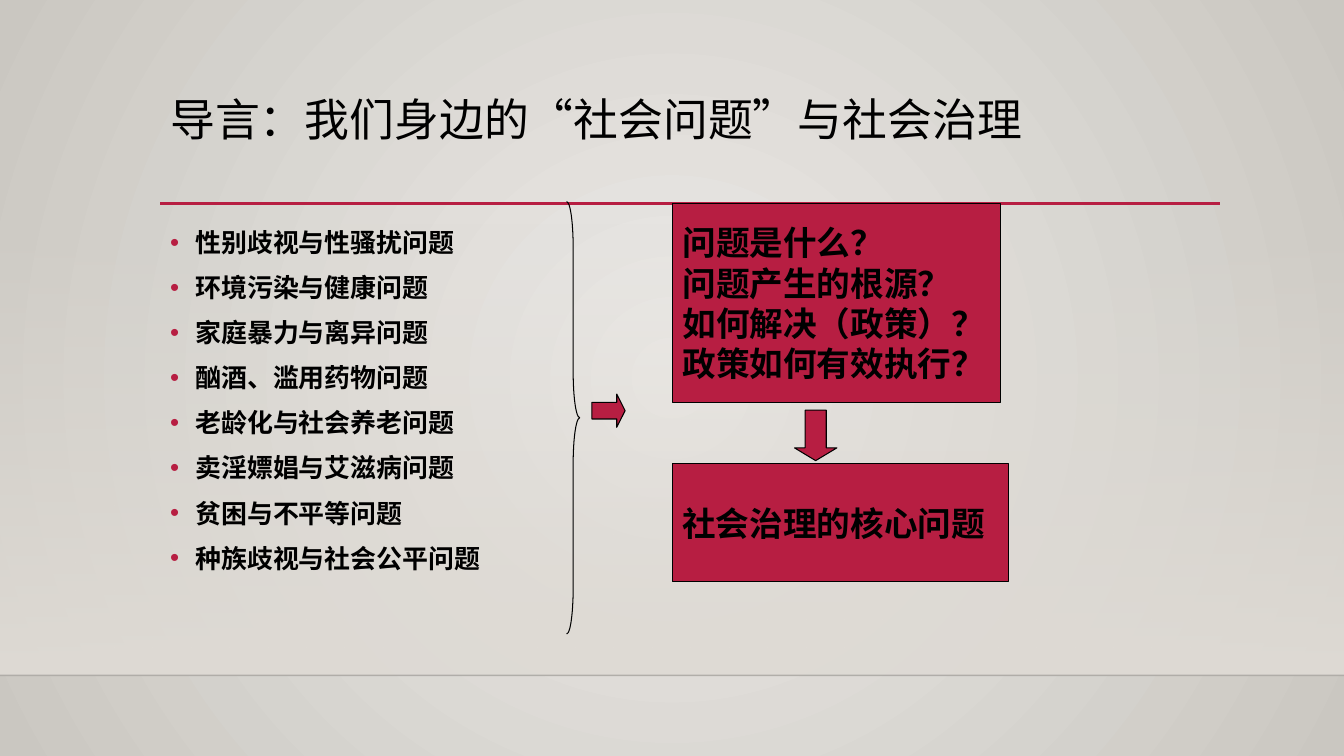
from dataclasses import dataclass

from lxml.etree import SubElement
from pptx import Presentation
from pptx.dml.color import RGBColor
from pptx.enum.lang import MSO_LANGUAGE_ID
from pptx.enum.shapes import MSO_CONNECTOR, MSO_SHAPE
from pptx.enum.text import MSO_ANCHOR, PP_ALIGN
from pptx.oxml import parse_xml
from pptx.oxml.ns import nsdecls, qn
from pptx.util import Inches, Pt


@dataclass(frozen=True)
class Theme:
    accent: str = "B71E42"
    ink: str = "000000"
    glow: str = "ECEAE7"
    edge: str = "CAC7C1"
    wall: str = "DFDBD5"
    heading_font: str = "Cabin"
    box_font: str = "Times New Roman"
    title_size: float = 32
    topic_size: float = 18.5
    box_size: float = 24
    outline: float = 0.75


RADIAL = ('<a:path path="circle"><a:fillToRect l="50000" t="50000" '
          'r="50000" b="50000"/></a:path>')
DOWNWARD = '<a:lin ang="5400000" scaled="0"/>'


class SlideBuilder:
    def __init__(self, slide, theme):
        self.slide = slide
        self.theme = theme

    def gradient(self, fill, owner, stops, direction):
        """Fill with (position, colour, opacity) stops, all in percent."""
        fill.gradient()
        marks = "".join(
            f'<a:gs pos="{pos * 1000}"><a:srgbClr val="{color}">'
            f'<a:alpha val="{opacity * 1000}"/></a:srgbClr></a:gs>'
            for pos, color, opacity in stops)
        old = owner.find(".//" + qn("a:gradFill"))
        old.getparent().replace(old, parse_xml(
            f'<a:gradFill {nsdecls("a")} rotWithShape="1">'
            f'<a:gsLst>{marks}</a:gsLst>{direction}</a:gradFill>'))

    def background(self):
        self.gradient(self.slide.background.fill, self.slide._element,
                      [(0, self.theme.glow, 100), (100, self.theme.edge, 100)], RADIAL)

    def wall(self, *place):
        panel = self.slide.shapes.add_shape(MSO_SHAPE.RECTANGLE, *map(Inches, place))
        panel.shadow.inherit = False
        panel.line.fill.background()
        self.gradient(panel.fill, panel._element,
                      [(0, self.theme.wall, 0), (100, self.theme.wall, 100)], DOWNWARD)

    def rule(self, left, right, y, color, width, opacity=100):
        rule = self.slide.shapes.add_connector(
            MSO_CONNECTOR.STRAIGHT, Inches(left), Inches(y), Inches(right), Inches(y))
        rule.line.color.rgb = RGBColor.from_string(color)
        rule.line.width = Pt(width)
        if opacity < 100:
            tint = rule._element.find(".//" + qn("a:srgbClr"))
            SubElement(tint, qn("a:alpha")).set("val", str(opacity * 1000))
        SubElement(rule._element.spPr, qn("a:effectLst"))

    def add_lines(self, frame, lines, font, size, leading, bold=True, bullet=False):
        frame.word_wrap = True
        for index, line in enumerate(lines):
            paragraph = frame.add_paragraph() if index else frame.paragraphs[0]
            paragraph.alignment = PP_ALIGN.LEFT
            paragraph.line_spacing = Pt(leading)
            if bullet:
                self.bullet(paragraph)
                if index:
                    paragraph.space_before = Pt(10)
            run = paragraph.add_run()
            run.text = line
            run.font.name = font
            run.font.size = Pt(size)
            run.font.bold = bold
            run.font.color.rgb = RGBColor.from_string(self.theme.ink)
            run.font.language_id = MSO_LANGUAGE_ID.SIMPLIFIED_CHINESE

    def bullet(self, paragraph):
        props = paragraph._p.get_or_add_pPr()
        props.set("marL", str(Inches(0.25)))
        props.set("indent", str(-Inches(0.25)))
        color = SubElement(props, qn("a:buClr"))
        SubElement(color, qn("a:srgbClr")).set("val", self.theme.accent)
        SubElement(props, qn("a:buFont")).set("typeface", "Arial")
        SubElement(props, qn("a:buChar")).set("char", "•")

    def text(self, place, lines, **style):
        frame = self.slide.shapes.add_textbox(*map(Inches, place)).text_frame
        self.add_lines(frame, lines, self.theme.heading_font, **style)

    def shape(self, kind, place, adjustments=(), filled=True):
        shape = self.slide.shapes.add_shape(kind, *map(Inches, place))
        shape.shadow.inherit = False
        for index, value in enumerate(adjustments):
            shape.adjustments[index] = value
        if filled:
            shape.fill.solid()
            shape.fill.fore_color.rgb = RGBColor.from_string(self.theme.accent)
        else:
            shape.fill.background()
        shape.line.color.rgb = RGBColor.from_string(self.theme.ink)
        shape.line.width = Pt(self.theme.outline)
        return shape

    def box(self, place, lines):
        frame = self.shape(MSO_SHAPE.RECTANGLE, place).text_frame
        frame.vertical_anchor = MSO_ANCHOR.MIDDLE
        self.add_lines(frame, lines, self.theme.box_font, self.theme.box_size, leading=28.8)


def main():
    deck = Presentation()
    deck.slide_width, deck.slide_height = Inches(13.33), Inches(7.5)
    theme = Theme()
    page = SlideBuilder(deck.slides.add_slide(deck.slide_layouts[6]), theme)

    # Backdrop
    page.background()
    page.wall(0, 2.21, 13.33, 4.49)
    page.rule(0, 13.33, 6.7, theme.ink, 1, opacity=20)
    page.rule(1.59, 12.1, 2.02, theme.accent, 2.5)

    # Title
    page.text((1.59, 0.88, 10.5, 1.15), ["导言：我们身边的“社会问题”与社会治理"],
              size=theme.title_size, leading=37, bold=False)

    # Social problems
    topics = ["性别歧视与性骚扰问题", "环境污染与健康问题", "家庭暴力与离异问题",
              "酗酒、滥用药物问题", "老龄化与社会养老问题", "卖淫嫖娼与艾滋病问题",
              "贫困与不平等问题", "种族歧视与社会公平问题"]
    page.text((1.59, 2.2, 10.5, 3.77), topics,
              size=theme.topic_size, leading=22.2, bullet=True)
    page.shape(MSO_SHAPE.RIGHT_BRACE, (5.62, 2, 0.13, 4.29), (3.5, 0.5), filled=False)

    # Questions leading to the core of governance
    page.box((6.67, 2.02, 3.25, 1.97),
             ["问题是什么？", "问题产生的根源？", "如何解决（政策）？", "政策如何有效执行？"])
    page.shape(MSO_SHAPE.RIGHT_ARROW, (5.87, 3.91, 0.33, 0.33), (0.5, 0.25))
    page.shape(MSO_SHAPE.DOWN_ARROW, (7.88, 4.07, 0.42, 0.5), (0.5, 0.3))
    page.box((6.67, 4.6, 3.33, 1.17), ["社会治理的核心问题"])

    deck.save("out.pptx")


if __name__ == "__main__":
    main()
